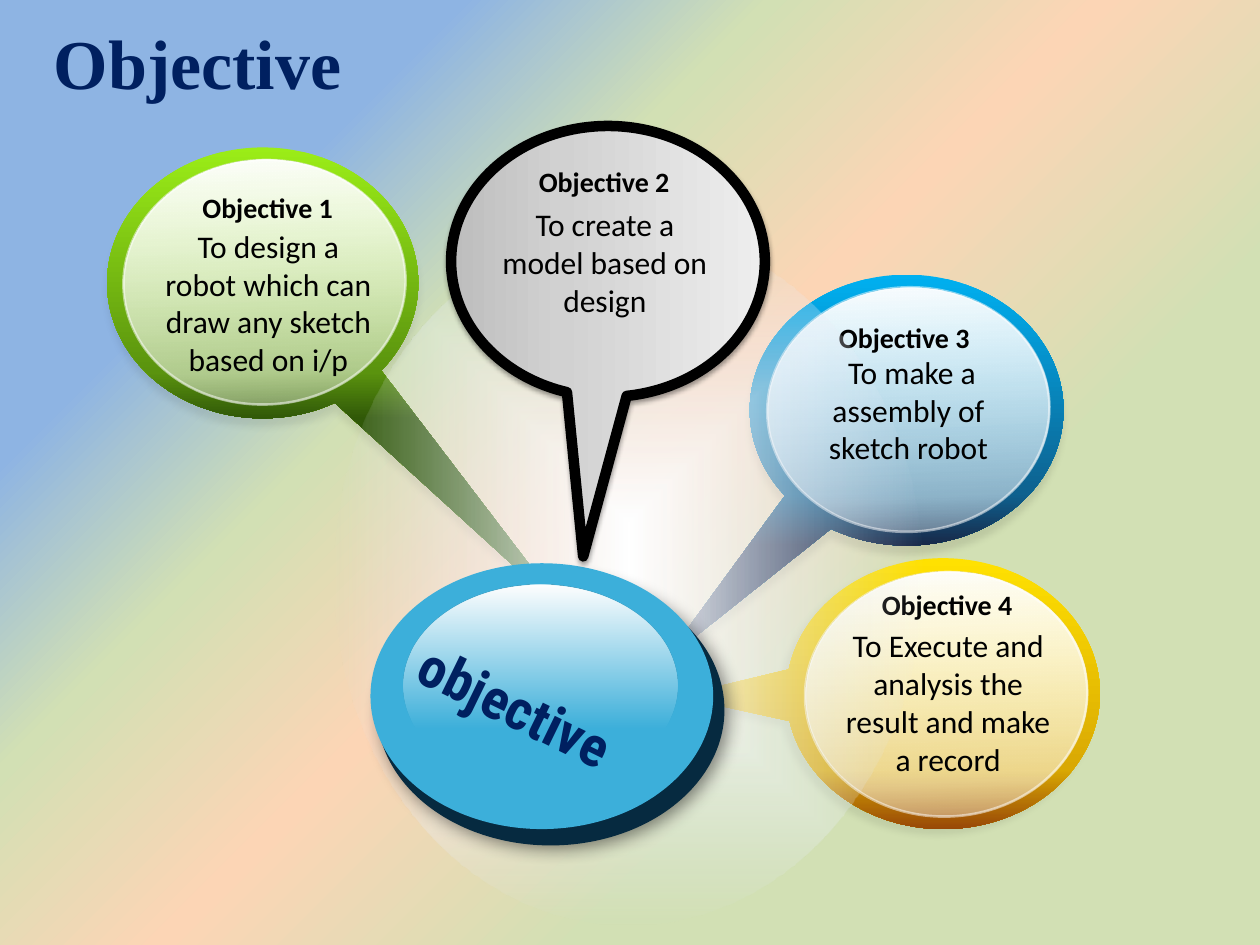
"""Build a slide of four objective callouts around a central disc."""
from pptx import Presentation
from pptx.dml.color import RGBColor
from pptx.enum.shapes import MSO_SHAPE as Shape
from pptx.enum.text import MSO_ANCHOR as Anchor, MSO_AUTO_SIZE as AutoSize, PP_ALIGN as Align
from pptx.oxml import parse_xml
from pptx.oxml.ns import nsdecls, qn
from pptx.util import Inches, Pt

COLORS = {
    "navy": "002060", "black": "000000", "white": "FFFFFF", "disc": "3CAFDA",
    "rim": "062A40", "sage": "D2E0B4", "peach": "FCD5B5", "sky": "8EB4E3", "mist": "E1E8F5",
    "lime": "9BED17", "green": "5A930E", "forest": "305808",
    "cyan": "00B0F0", "blue": "0E618F", "midnight": "182848",
    "yellow": "FFE101", "gold": "D9A803", "brown": "984807",
    "silver": "BDBDBD", "gray": "D1D1D1", "light": "EEEEEE",
}
BACKGROUND = [(4, "sage"), (31, "sage"), (50, "peach"), (65, "sage"), (79, "sky")]
GLASS = [(0, "white"), (83, "white", 52), (100, "white", 31)]
GLOW = [(0, "white"), (100, "mist", 0)]
SHEEN = [(0, "white", 0), (29, "white", 0), (100, "white")]

CALLOUTS = {
    4: {"box": (6.41, 4.26, 2.15, 2.49), "glass": (6.54, 4.39), "tail": (-0.01, 0.848),
        "stops": [(0, "yellow"), (78, "gold"), (100, "brown")], "shadow": (8, 4, 5, 140),
        "label": (6.46, 4.61, 2.01, 0.35), "align": Align.LEFT,
        "body": (6.54, 4.92, 1.97, 1.31),
        "text": "To Execute and analysis the result and make a record"},
    1: {"box": (1.01, 1.01, 2.15, 2.47), "glass": (1.13, 1.12), "tail": (-1.231, 0.984),
        "mirrored": True,
        "stops": [(0, "lime"), (83, "green"), (100, "forest")], "shadow": (8, 4, 5, 90),
        "label": (1, 1.46, 1.81, 0.35), "align": Align.CENTER,
        "body": (1.17, 1.75, 1.92, 1.31),
        "text": "To design a robot which can draw any sketch based on i/p"},
    3: {"box": (6.12, 2.01, 2.15, 2.49), "glass": (6.24, 2.13), "tail": (-0.932, 0.777),
        "stops": [(0, "cyan"), (81, "blue"), (100, "midnight")], "shadow": (9, 4, 5, 100),
        "label": (6.12, 2.49, 2.45, 0.35), "align": Align.LEFT,
        "body": (6.25, 2.75, 1.92, 1.01),
        "text": " To make a assembly of sketch robot"},
    2: {"box": (3.75, 0.83, 2.15, 2.49), "tail": (-1.089, 0.079), "angle": 270, "outline": 6,
        "stops": [(0, "silver"), (35, "gray"), (100, "light")], "shadow": (38, 3.1, 1.6, 90),
        "label": (3.67, 1.25, 1.81, 0.35), "align": Align.CENTER,
        "body": (3.84, 1.58, 1.92, 1.01),
        "text": "To create a model based on design"},
}
FORMATS = {
    "title": {"name": "Times New Roman", "size": Pt(40), "bold": True},
    "disc": {"name": "Roboto Condensed", "size": Pt(32), "bold": True},
    "label": {"name": "Calibri", "size": Pt(16), "bold": True},
    "body": {"name": "Calibri", "size": Pt(18), "bold": False},
}


def rgb(name):
    return RGBColor.from_string(COLORS[name])


def color_xml(name, alpha=100):
    return f'<a:srgbClr val="{COLORS[name]}"><a:alpha val="{alpha * 1000}"/></a:srgbClr>'


def paint_gradient(fill, element, stops, direction):
    fill.gradient()
    gradient = element.find(".//" + qn("a:gradFill"))
    marks = "".join(f'<a:gs pos="{position * 1000}">{color_xml(*color)}</a:gs>'
                    for position, *color in stops)
    gradient.getparent().replace(gradient, parse_xml(
        f'<a:gradFill {nsdecls("a")} rotWithShape="1"><a:gsLst>{marks}</a:gsLst>{direction}</a:gradFill>'))


def linear(angle):
    return f'<a:lin ang="{angle * 60000}" scaled="0"/>'


def radial(kind, left, top, right, bottom):
    return (f'<a:path path="{kind}"><a:fillToRect l="{left}000" t="{top}000" '
            f'r="{right}000" b="{bottom}000"/></a:path>')


def add_shape(slide, kind, box, stops=None, direction="", color=None):
    shape = slide.shapes.add_shape(kind, *map(Inches, box))
    shape.shadow.inherit = False
    shape.line.fill.background()
    if stops:
        paint_gradient(shape.fill, shape._element.spPr, stops, direction)
    else:
        shape.fill.solid()
        shape.fill.fore_color.rgb = rgb(color)
    return shape


def add_shadow(shape, alpha, blur, distance, angle):
    shape._element.spPr.find(qn("a:effectLst")).append(parse_xml(
        f'<a:outerShdw {nsdecls("a")} blurRad="{Pt(blur)}" dist="{Pt(distance)}" '
        f'dir="{angle * 60000}" rotWithShape="0">{color_xml("black", alpha)}</a:outerShdw>'))


def set_line(shape, color, width, alpha=100):
    shape.line.color.rgb = rgb(color)
    shape.line.width = Pt(width)
    tint = shape._element.spPr.find(qn("a:ln")).find(".//" + qn("a:srgbClr"))
    tint.append(parse_xml(f'<a:alpha {nsdecls("a")} val="{alpha * 1000}"/>'))


def add_text(slide, box, text, style, align, color="black", anchor=Anchor.TOP):
    shape = slide.shapes.add_textbox(*map(Inches, box))
    frame = shape.text_frame
    frame.word_wrap = True
    frame.auto_size = AutoSize.NONE if style == "disc" else AutoSize.SHAPE_TO_FIT_TEXT
    frame.vertical_anchor = anchor
    paragraph = frame.paragraphs[0]
    paragraph.alignment = align
    if style == "label":
        paragraph.line_spacing = 1.1
        properties = paragraph._p.get_or_add_pPr()
        properties.set("marL", str(Inches(0.44)))
        properties.set("indent", "0")
    run = paragraph.add_run()
    run.text = text
    for key, value in FORMATS[style].items():
        setattr(run.font, key, value)
    run.font.color.rgb = rgb(color)
    return shape


def add_callout(slide, item):
    callout = add_shape(slide, Shape.OVAL_CALLOUT, item["box"], item["stops"],
                        linear(item.get("angle", 180)))
    mirrored = item.get("mirrored", False)
    callout.rotation = 90 if mirrored else 270
    transform = callout._element.spPr.find(qn("a:xfrm"))
    transform.set("flipV", "1")
    if mirrored:
        transform.set("flipH", "1")
    callout.adjustments[0], callout.adjustments[1] = item["tail"]
    add_shadow(callout, *item["shadow"])
    if "outline" in item:
        set_line(callout, "black", item["outline"])
    if "glass" in item:
        glass = add_shape(slide, Shape.CHORD, (*item["glass"], 1.94, 2.24), GLASS, linear(180))
        glass.rotation = 267.2
        for index, degrees in enumerate((162.607, 162)):
            glass.adjustments[index] = degrees * 0.6
        set_line(glass, "white", 1.5, 49)


def add_label(slide, number):
    item = CALLOUTS[number]
    add_text(slide, item["label"], f"Objective {number}", "label", item["align"],
             anchor=Anchor.MIDDLE)


def add_disc(slide):
    add_shape(slide, Shape.OVAL, (2.65, 1.81, 4.67, 5.53), GLOW, radial("shape", 50, 50, 50, 50))
    rim = add_shape(slide, Shape.OVAL, (2.99, 4.56, 2.76, 2.15), color="rim")
    add_shadow(rim, 45, 10, 3, 45)
    add_shape(slide, Shape.OVAL, (2.94, 4.47, 2.72, 2.11), color="disc")
    add_shape(slide, Shape.OVAL, (3.2, 4.64, 2.18, 1.6), SHEEN, linear(270))
    caption = add_text(slide, (2.72, 4.97, 2.75, 1.26), "objective", "disc", Align.CENTER,
                       "navy", Anchor.MIDDLE)
    caption.rotation = 26


def main():
    presentation = Presentation()
    presentation.slide_width, presentation.slide_height = Inches(10), Inches(7.5)
    slide = presentation.slides.add_slide(presentation.slide_layouts[6])
    paint_gradient(slide.background.fill, slide._element, BACKGROUND,
                   radial("circle", 100, 100, 0, 0))
    for number in (4, 1, 3):
        add_callout(slide, CALLOUTS[number])
        add_label(slide, number)
    add_disc(slide)
    add_callout(slide, CALLOUTS[2])
    add_label(slide, 2)
    for item in CALLOUTS.values():
        add_text(slide, item["body"], item["text"], "body", Align.CENTER)
    add_text(slide, (0.33, 0.11, 3.07, 0.77), "Objective", "title", Align.LEFT, "navy")
    presentation.save("out.pptx")


if __name__ == "__main__":
    main()
